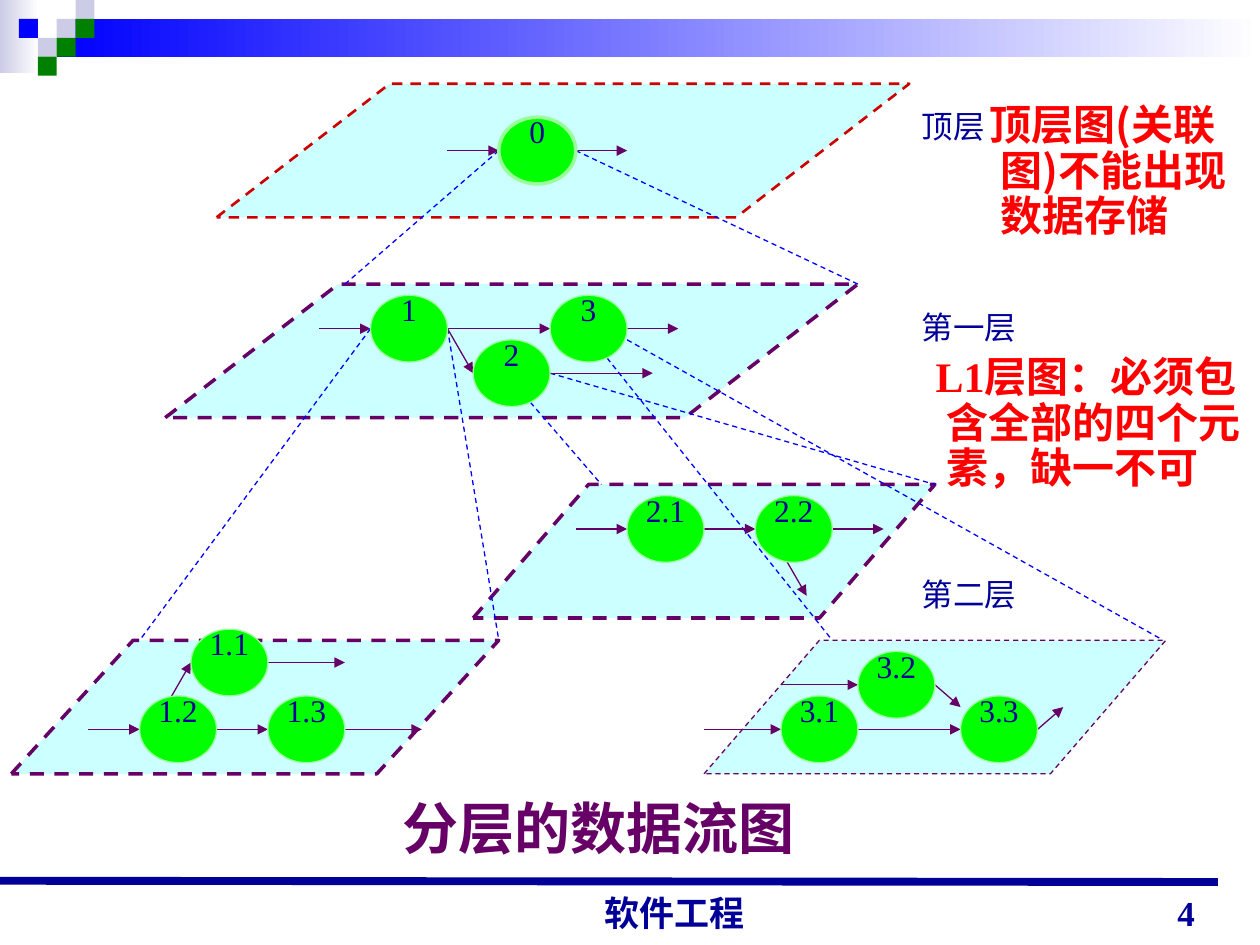
from dataclasses import dataclass

from lxml.etree import SubElement
from pptx import Presentation
from pptx.dml.color import RGBColor
from pptx.enum.dml import MSO_LINE
from pptx.enum.shapes import MSO_CONNECTOR, MSO_SHAPE
from pptx.enum.text import MSO_ANCHOR, PP_ALIGN
from pptx.oxml.ns import qn
from pptx.util import Pt


@dataclass(frozen=True)
class Theme:
    latin: str = "Times New Roman"
    chinese: str = "Noto Sans CJK SC"
    white: str = "FFFFFF"
    blue: str = "0000FF"
    lavender: str = "CCCCE6"
    dark_green: str = "008000"
    navy: str = "000099"
    purple: str = "660066"
    red: str = "FF0000"
    dark_red: str = "CC0000"
    plane: str = "CCFFFF"
    process: str = "00FF00"
    rim: str = "99FF99"
    label_size: int = 18
    footer_size: int = 20
    remark_size: int = 24
    caption_size: int = 32


# The diagram lies on a grid: columns and rows in points
LEFT, TOP, COLUMN, ROW = 6.5, 47.9, 14.66, 12.72
CIRCLE = 3  # diameter in columns and in rows


def grid(column, row):
    return LEFT + column * COLUMN, TOP + row * ROW


def rgb(color):
    return RGBColor.from_string(color)


class DiagramSlide:
    def __init__(self, slide, theme):
        self.shapes = slide.shapes
        self.theme = theme

    def shape(self, kind, x, y, width, height, fill):
        shape = self.shapes.add_shape(kind, Pt(x), Pt(y), Pt(width), Pt(height))
        shape.shadow.inherit = False
        shape.fill.solid()
        shape.fill.fore_color.rgb = rgb(fill)
        shape.line.fill.background()
        return shape

    def fading_bar(self, x, y, width, height, color):
        """Rectangle that fades from color to white, left to right."""
        bar = self.shape(MSO_SHAPE.RECTANGLE, x, y, width, height, color)
        bar.fill.gradient()
        bar.fill.gradient_angle = 0
        for stop, stop_color in zip(bar.fill.gradient_stops, (color, self.theme.white)):
            stop.color.rgb = rgb(stop_color)
        bar.fill.gradient_stops[0].position = 0
        bar.fill.gradient_stops[1].position = 1

    def outline(self, shape, color, weight, dashed=False):
        shape.line.color.rgb = rgb(color)
        shape.line.width = Pt(weight)
        if dashed:
            shape.line.dash_style = MSO_LINE.DASH

    def plane(self, column, row, columns, color, weight):
        """Level of the diagram, six rows high, slanted by a quarter of its width."""
        width, height = columns * COLUMN, 6 * ROW
        level = self.shape(MSO_SHAPE.PARALLELOGRAM, *grid(column, row),
                           width, height, self.theme.plane)
        level.adjustments[0] = width / 4 / height
        self.outline(level, color, weight, dashed=True)

    def process(self, number, column, middle_row, rim_weight=0.75):
        circle = self.shape(MSO_SHAPE.OVAL, *grid(column, middle_row - CIRCLE / 2),
                            CIRCLE * COLUMN, CIRCLE * ROW, self.theme.process)
        self.outline(circle, self.theme.rim, rim_weight)
        self.text(number, *grid(column, middle_row - 2), CIRCLE * COLUMN, 4 * ROW,
                  self.theme.label_size, self.theme.navy, align=PP_ALIGN.CENTER)

    def line(self, start, end, color, weight=0.75, dashed=False, arrow=False):
        line = self.shapes.add_connector(
            MSO_CONNECTOR.STRAIGHT, *(Pt(value) for value in (*start, *end)))
        self.outline(line, color, weight, dashed)
        if arrow:
            SubElement(line.line._get_or_add_ln(), qn("a:tailEnd"), type="triangle")
        SubElement(line._element.spPr, qn("a:effectLst"))

    def text(self, content, x, y, width, height, size, color, bold=False,
             align=PP_ALIGN.LEFT, anchor=MSO_ANCHOR.TOP, insets=(7.2, 3.6), latin=None):
        box = self.shapes.add_textbox(Pt(x), Pt(y), Pt(width), Pt(height))
        frame = box.text_frame
        frame.word_wrap = True
        frame.vertical_anchor = anchor
        frame.margin_left = frame.margin_right = Pt(insets[0])
        frame.margin_top = frame.margin_bottom = Pt(insets[1])
        frame.text = content
        paragraph = frame.paragraphs[0]
        paragraph.alignment = align
        font = paragraph.runs[0].font
        font.size, font.bold = Pt(size), bold
        font.color.rgb = rgb(color)
        font.name = latin or self.theme.latin
        SubElement(font._element, qn("a:ea"), typeface=self.theme.chinese)
        return paragraph

    def remark(self, content, x, y, width, latin):
        """Red note with a hanging first line."""
        paragraph = self.text(content, x, y, width, 78, self.theme.remark_size,
                              self.theme.red, bold=True, insets=(0, 0), latin=latin)
        paragraph.line_spacing = 0.9
        paragraph.space_before = Pt(15)
        properties = paragraph._p.get_or_add_pPr()
        properties.set("marL", str(Pt(90)))
        properties.set("indent", str(Pt(-6)))


def draw_frame(slide, theme):
    slide.fading_bar(0, 0, 22.3, 41.8, theme.lavender)
    slide.fading_bar(32.4, 10.8, 687.6, 21.6, theme.blue)
    side = 10.8
    mosaic = [(3, 1, theme.lavender), (4, 0, theme.lavender), (4, 1, theme.dark_green),
              (2, 2, theme.lavender), (1, 1, theme.blue), (3, 2, theme.dark_green),
              (2, 3, theme.dark_green)]
    for column, row, color in mosaic:
        slide.shape(MSO_SHAPE.RECTANGLE, column * side, row * side, side, side, color)
    slide.line((0, 503.3), (696, 504), theme.navy, 4.5)
    footer = dict(size=theme.footer_size, color=theme.navy, bold=True,
                  anchor=MSO_ANCHOR.BOTTOM)
    slide.text("软件工程", 271.5, 507.6, 228.2, 29.5, align=PP_ALIGN.CENTER, **footer)
    slide.text("4", 522, 501.1, 167.8, 36, align=PP_ALIGN.RIGHT, **footer)


def draw_levels(slide, theme):
    planes = [(8, 0, 27, theme.dark_red, 1.5), (6, 9, 27, theme.purple, 2),
              (0, 25, 19, theme.purple, 2), (27, 25, 18, theme.purple, 0.75),
              (18, 18, 18, theme.purple, 2)]
    for plane in planes:
        slide.plane(*plane)

    expansions = [((19, 3), (13, 9)), ((22, 3), (33, 9)), ((14, 11), (5, 25)),
                  ((17, 11), (19, 25)), ((20, 14), (23, 18)), ((21, 13), (36, 18)),
                  ((23, 12), (32, 25)), ((24, 11.5), (44.75, 24.9))]
    for start, end in expansions:
        slide.line(grid(*start), grid(*end), theme.blue, dashed=True)

    level_flows = {3: [(17, 19), (22, 24)], 11: [(12, 14), (17, 21), (24, 26)],
                   13: [(21, 25)], 20: [(22, 24), (27, 29), (32, 34)],
                   26: [(10, 13)], 27: [(30, 33)],
                   29: [(3, 5), (8, 10), (13, 16), (27, 30), (33, 37)]}
    flows = [((start, row), (end, row))
             for row, spans in level_flows.items() for start, end in spans]
    flows += [((17, 11), (18, 13)), ((30, 21), (31, 23)), ((6, 28), (7, 26)),
              ((36, 27), (37, 28)), ((40, 29), (41, 28))]
    for start, end in flows:
        slide.line(grid(*start), grid(*end), theme.purple, arrow=True)

    # Circles come last, so that they cover the line ends inside them
    processes = [("0", 19, 3, 2), ("1", 14, 11), ("3", 21, 11), ("2", 18, 13),
                 ("2.1", 24, 20), ("2.2", 29, 20), ("1.3", 10, 29), ("1.1", 7, 26),
                 ("1.2", 5, 29), ("3.2", 33, 27), ("3.1", 30, 29), ("3.3", 37, 29)]
    for process in processes:
        slide.process(*process)

    for level, row in (("顶层", 1), ("第一层", 10), ("第二层", 22)):
        slide.text(level, *grid(35, row), 5 * COLUMN, 2 * ROW, theme.label_size,
                   theme.navy, insets=(7.2, 0.7))


def main():
    theme = Theme()
    presentation = Presentation()
    presentation.slide_width, presentation.slide_height = Pt(720), Pt(540)
    slide = DiagramSlide(
        presentation.slides.add_slide(presentation.slide_layouts[6]), theme)
    draw_frame(slide, theme)
    slide.text("分层的数据流图", 217.5, 450, 244, 46, theme.caption_size, theme.purple,
               bold=True, align=PP_ALIGN.RIGHT)
    slide.remark("顶层图(关联图)不能出现数据存储", 481.7, 59.8, 238.3, theme.chinese)
    slide.remark("L1层图：必须包含全部的四个元素，缺一不可", 450.7, 203.8, 269.3, theme.latin)
    draw_levels(slide, theme)
    presentation.save("out.pptx")


if __name__ == "__main__":
    main()
